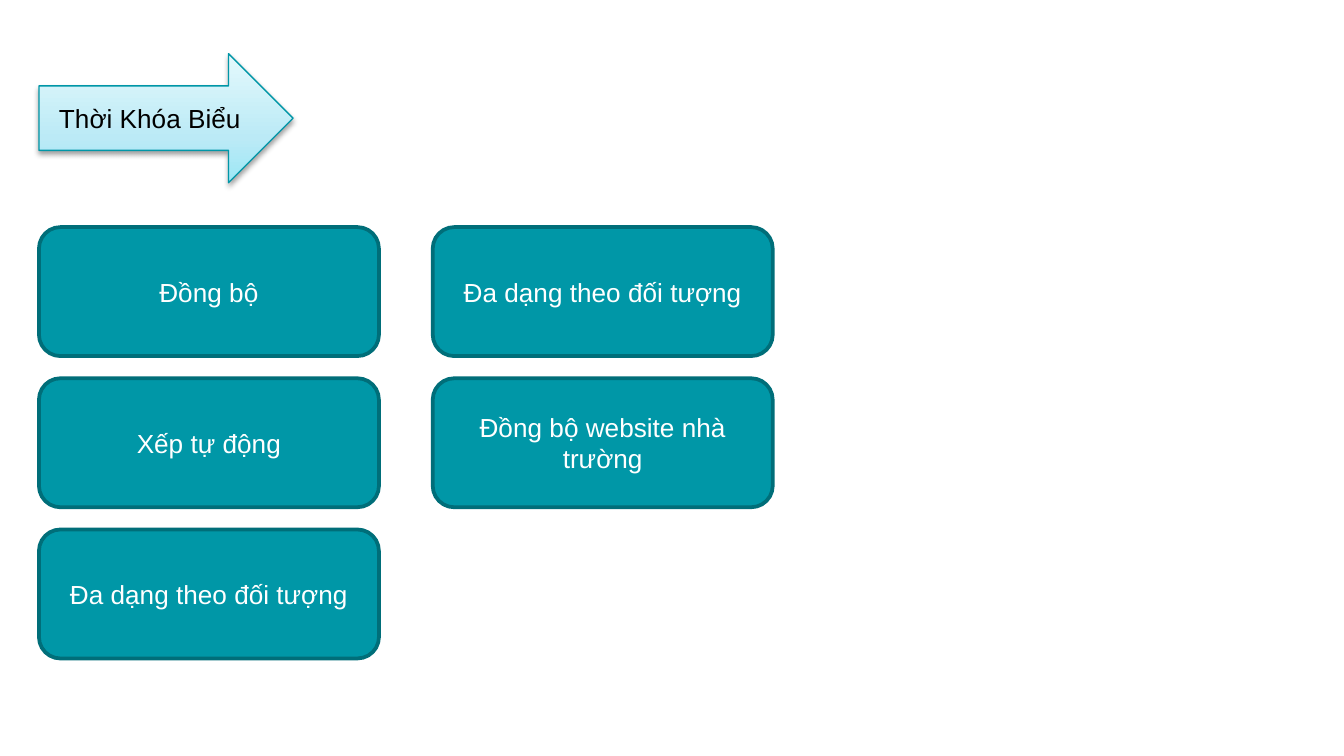
"""Build the timetable slide: a heading arrow above a grid of feature boxes."""
from copy import deepcopy

from lxml.etree import SubElement
from pptx import Presentation
from pptx.dml.color import RGBColor
from pptx.enum.shapes import MSO_SHAPE
from pptx.enum.text import MSO_ANCHOR, PP_ALIGN
from pptx.oxml.ns import qn
from pptx.util import Inches, Pt


def color(hex_string):
    return RGBColor.from_string(hex_string)


def add_text(shape, text, size=14, font="Arial", text_color="FFFFFF"):
    frame = shape.text_frame
    frame.word_wrap = True
    frame.vertical_anchor = MSO_ANCHOR.MIDDLE
    paragraph = frame.paragraphs[0]
    paragraph.alignment = PP_ALIGN.CENTER
    run = paragraph.add_run()
    run.text = text
    run.font.size = Pt(size)
    run.font.name = font
    run.font.color.rgb = color(text_color)


presentation = Presentation()
presentation.slide_width = Inches(10)
presentation.slide_height = Inches(10 * 9 / 16)
slide = presentation.slides.add_slide(presentation.slide_layouts[6])

left = 0.29
height = 0.96

arrow = slide.shapes.add_shape(
    MSO_SHAPE.RIGHT_ARROW, Inches(left), Inches(0.4), Inches(1.89), Inches(height)
)
arrow.line.color.rgb = color("0096A7")
arrow.line.width = Pt(0.75)
arrow.fill.gradient()
arrow.fill.gradient_angle = 90
stop_list = arrow._element.spPr.find(qn("a:gradFill")).find(qn("a:gsLst"))
stop_list.append(deepcopy(stop_list[-1]))
gradient = [(0, "9CE7F5"), (0.35, "BBEAF6"), (1, "E4F9FC")]
for stop, (position, stop_color) in zip(arrow.fill.gradient_stops, gradient):
    stop.position = position
    stop.color.rgb = color(stop_color)

arrow.shadow.inherit = False
effects = arrow._element.spPr.find(qn("a:effectLst"))
shadow = SubElement(
    effects, qn("a:outerShdw"), blurRad=str(Pt(3.1)), dist=str(Pt(1.6)),
    dir="5400000", rotWithShape="0",
)
shadow_color = SubElement(shadow, qn("a:srgbClr"), val="000000")
SubElement(shadow_color, qn("a:alpha"), val="37000")
add_text(arrow, "Thời Khóa Biểu", text_color="000000")

columns = [
    ["Đồng bộ", "Xếp tự động", "Đa dạng theo đối tượng"],
    ["Đa dạng theo đối tượng", "Đồng bộ website nhà trường"],
]
top = 1.69
last_top = 3.94
column_step = 2.93
row_step = (last_top - top) / 2

for column, features in enumerate(columns):
    for row, feature in enumerate(features):
        box = slide.shapes.add_shape(
            MSO_SHAPE.ROUNDED_RECTANGLE,
            Inches(left + column * column_step), Inches(top + row * row_step),
            Inches(2.53), Inches(height),
        )
        box.shadow.inherit = False
        box.fill.solid()
        box.fill.fore_color.rgb = color("0097A7")
        box.line.color.rgb = color("006E79")
        box.line.width = Pt(2)
        add_text(box, feature)

presentation.save("out.pptx")
